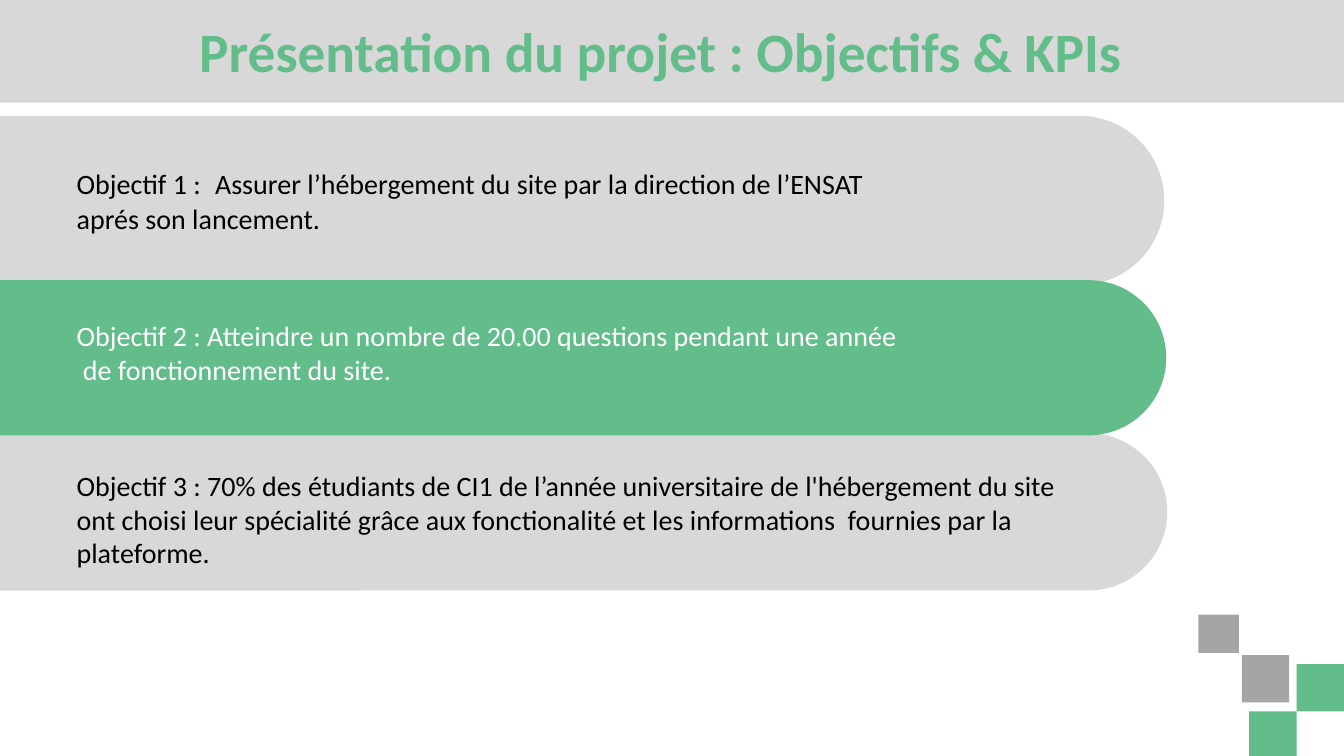
"""Build the project objectives slide on a grid of 40 columns by 22.5 rows."""
from pptx import Presentation
from pptx import util as u
from pptx.dml.color import RGBColor
from pptx.enum import shapes, text

WIDTH, HEIGHT, COLUMNS = 13.33, 7.5, 40
CELL = WIDTH / COLUMNS
GREEN, PALE, GREY, WHITE, BLACK = "62BD8A", "D8D8D8", "A5A5A5", "FFFFFF", "000000"
FONT = "Calibri"
TITLE = "Présentation du projet : Objectifs & KPIs "
BAND_LENGTH, TEXT_LEFT = 34.74, 2.28
TILE = 1.41
TILE_LEFT, TILE_TOP = COLUMNS - TILE, 19.77

TILES = [
    (TILE_LEFT, TILE_TOP, TILE, TILE, GREEN),
    (TILE_LEFT - TILE, TILE_TOP + TILE, TILE, TILE, GREEN),
    (36.96, 19.5, TILE, TILE, GREY),
    (35.67, 18.3, 1.2, 1.14, GREY),
]

OBJECTIVES = [
    {"band": (34.65, 3.45, 5.04), "fill": PALE, "ink": BLACK, "box": (4.8, 24.87, 2.22),
     "lines": [[("Objectif 1 : ", 20), (" ", 24),
                ("Assurer l’hébergement du site par la direction de l’ENSAT "
                 "aprés son lancement.", 20)]]},
    {"band": (34.74, 12.9, 4.68), "fill": PALE, "ink": BLACK, "box": (13.95, 30.15, 3.03),
     "lines": [[("Objectif 3 : 70% des étudiants de CI1 de l’année universitaire de "
                 "l'hébergement du site ont choisi leur spécialité grâce aux fonctionalité "
                 "et les informations  fournies par la plateforme.", 20)]]},
    {"band": (34.71, 8.34, 4.62), "fill": GREEN, "ink": WHITE, "box": (9.48, 31.83, 2.01),
     "lines": [[("Objectif 2 : Atteindre un nombre de 20.00 questions pendant une année", 20)],
               [(" de fonctionnement du site.", 20)]]},
]


def color(value):
    return RGBColor.from_string(value)


def grid(*cells):
    return [u.Inches(cell * CELL) for cell in cells]


def add_block(page, kind, left, top, width, height, fill):
    block = page.shapes.add_shape(kind, *grid(left, top, width, height))
    block.shadow.inherit = False
    block.fill.solid()
    block.fill.fore_color.rgb = color(fill)
    block.line.fill.background()
    return block


def add_band(page, right, top, height, fill):
    left = right - (BAND_LENGTH + height) / 2
    upright_top = top + (height - BAND_LENGTH) / 2
    band = add_block(page, shapes.MSO_SHAPE.ROUND_2_SAME_RECTANGLE,
                     left, upright_top, height, BAND_LENGTH, fill)
    band.adjustments[0] = 0.5
    band.adjustments[1] = 0
    band.rotation = 90


def add_text(page, left, top, width, height, lines, ink):
    box = page.shapes.add_textbox(*grid(left, top, width, height))
    frame = box.text_frame
    frame.word_wrap = True
    frame.margin_left = frame.margin_right = 0
    frame.margin_top = frame.margin_bottom = 0
    for index, line in enumerate(lines):
        para = frame.add_paragraph() if index else frame.paragraphs[0]
        for words, size in line:
            span = para.add_run()
            span.text = words
            span.font.name = FONT
            span.font.size = u.Pt(size)
            span.font.color.rgb = color(ink)
    return frame


def main():
    deck = Presentation()
    deck.slide_width, deck.slide_height = u.Inches(WIDTH), u.Inches(HEIGHT)
    page = deck.slides.add_slide(deck.slide_layouts[6])

    add_block(page, shapes.MSO_SHAPE.RECTANGLE, 0, 0, COLUMNS, 3.06, PALE)
    heading = add_text(page, 0.54, 0.66, 38.61, 1.92, [[(TITLE, 39.6)]], GREEN)
    heading.vertical_anchor = text.MSO_ANCHOR.MIDDLE
    para = heading.paragraphs[0]
    para.alignment = text.PP_ALIGN.CENTER
    para.line_spacing = 0.9
    para.runs[0].font.bold = True

    for *place, fill in TILES:
        add_block(page, shapes.MSO_SHAPE.RECTANGLE, *place, fill)
    for goal in OBJECTIVES:
        add_band(page, *goal["band"], goal["fill"])
    for goal in OBJECTIVES:
        add_text(page, TEXT_LEFT, *goal["box"], goal["lines"], goal["ink"])

    deck.save("out.pptx")


if __name__ == "__main__":
    main()
